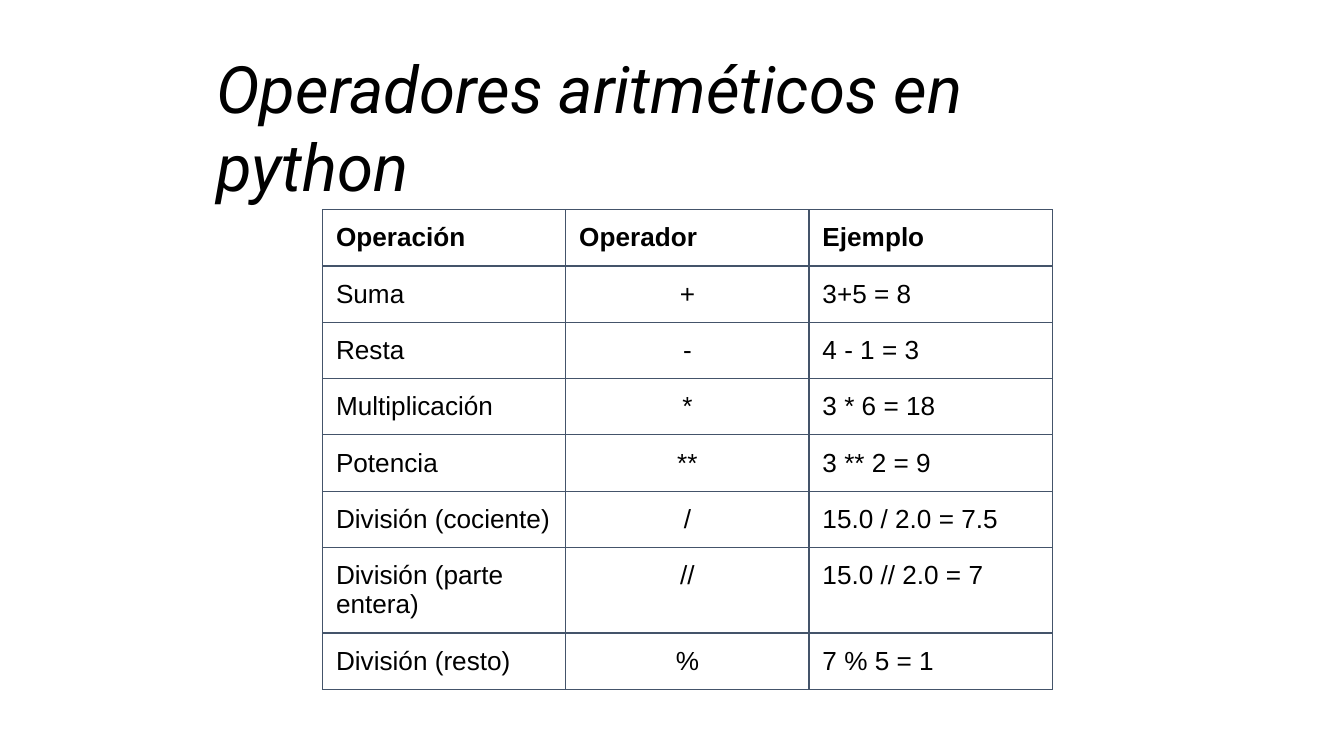
import pptx
import pptx.util
import pptx.dml.color
import pptx.enum.text
import pptx.oxml
import pptx.oxml.ns
from lxml import etree

TITLE = "Operadores aritméticos en python"
HEADERS = ("Operación", "Operador", "Ejemplo")
OPERATIONS = [
    ("Suma", "+", "3+5 = 8"),
    ("Resta", "-", "4 - 1 = 3"),
    ("Multiplicación", "*", "3 * 6 = 18"),
    ("Potencia", "**", "3 ** 2 = 9"),
    ("División (cociente)", "/", "15.0 / 2.0 = 7.5"),
    ("División (parte entera)", "//", "15.0 // 2.0 = 7"),
    ("División (resto)", "%", "7 % 5 = 1"),
]
OPERATOR_COLUMN = 1

THEME = {
    "text": "000000",
    "border": "44546A",
    "border_width": 0.75,
    "title_font": "Roboto",
    "title_size": 35,
    "table_font": "Arial",
    "table_size": 14,
}

Inches = pptx.util.Inches
Align = pptx.enum.text.PP_ALIGN
Anchor = pptx.enum.text.MSO_ANCHOR
SLIDE_WIDTH = Inches(10)
SLIDE_HEIGHT = SLIDE_WIDTH * 9 // 16
INSET = Inches(0.1)
COLUMN_WIDTH = Inches(1.81)
ROW_HEIGHT = Inches(0.39)


def write(para, text, role, align=Align.LEFT, bold=False, italic=False):
    para.alignment = align
    span = para.add_run()
    span.text = text
    font = span.font
    font.name = THEME[role + "_font"]
    font.size = pptx.util.Pt(THEME[role + "_size"])
    font.bold = bold
    font.italic = italic
    font.color.rgb = pptx.dml.color.RGBColor.from_string(THEME["text"])


def set_insets(holder):
    for side in ("left", "top", "right", "bottom"):
        setattr(holder, "margin_" + side, INSET)


def add_borders(cell):
    properties = cell._tc.get_or_add_tcPr()
    width = str(pptx.util.Pt(THEME["border_width"]))
    for position, tag in enumerate(("a:lnL", "a:lnR", "a:lnT", "a:lnB")):
        line = etree.Element(pptx.oxml.ns.qn(tag), w=width)
        fill = etree.SubElement(line, pptx.oxml.ns.qn("a:solidFill"))
        etree.SubElement(fill, pptx.oxml.ns.qn("a:srgbClr"), val=THEME["border"])
        properties.insert(position, line)


def add_title(slide):
    title = slide.shapes.title
    title.left, title.top = Inches(1.51), Inches(0.4)
    title.width, title.height = Inches(7.21), Inches(1.08)
    frame = title.text_frame
    frame.word_wrap = True
    frame.auto_size = pptx.enum.text.MSO_AUTO_SIZE.NONE
    frame.vertical_anchor = Anchor.MIDDLE
    set_insets(frame)
    write(frame.paragraphs[0], TITLE, "title", italic=True)


def add_operations(slide):
    rows = [HEADERS] + OPERATIONS
    table = slide.shapes.add_table(
        len(rows), len(HEADERS), Inches(2.4), Inches(1.56),
        COLUMN_WIDTH * len(HEADERS), ROW_HEIGHT * len(rows),
    ).table
    table.first_row = False
    table.horz_banding = False
    for column in table.columns:
        column.width = COLUMN_WIDTH
    for row_index, row in enumerate(rows):
        table.rows[row_index].height = ROW_HEIGHT
        is_header = row_index == 0
        for column_index, text in enumerate(row):
            cell = table.cell(row_index, column_index)
            cell.fill.background()
            cell.vertical_anchor = Anchor.TOP
            set_insets(cell)
            add_borders(cell)
            centred = column_index == OPERATOR_COLUMN and not is_header
            align = Align.CENTER if centred else Align.LEFT
            write(cell.text_frame.paragraphs[0], text, "table", align, bold=is_header)


def main():
    deck = pptx.Presentation()
    deck.slide_width, deck.slide_height = SLIDE_WIDTH, SLIDE_HEIGHT
    slide = deck.slides.add_slide(deck.slide_layouts[5])
    add_title(slide)
    add_operations(slide)
    deck.save("out.pptx")


if __name__ == "__main__":
    main()
